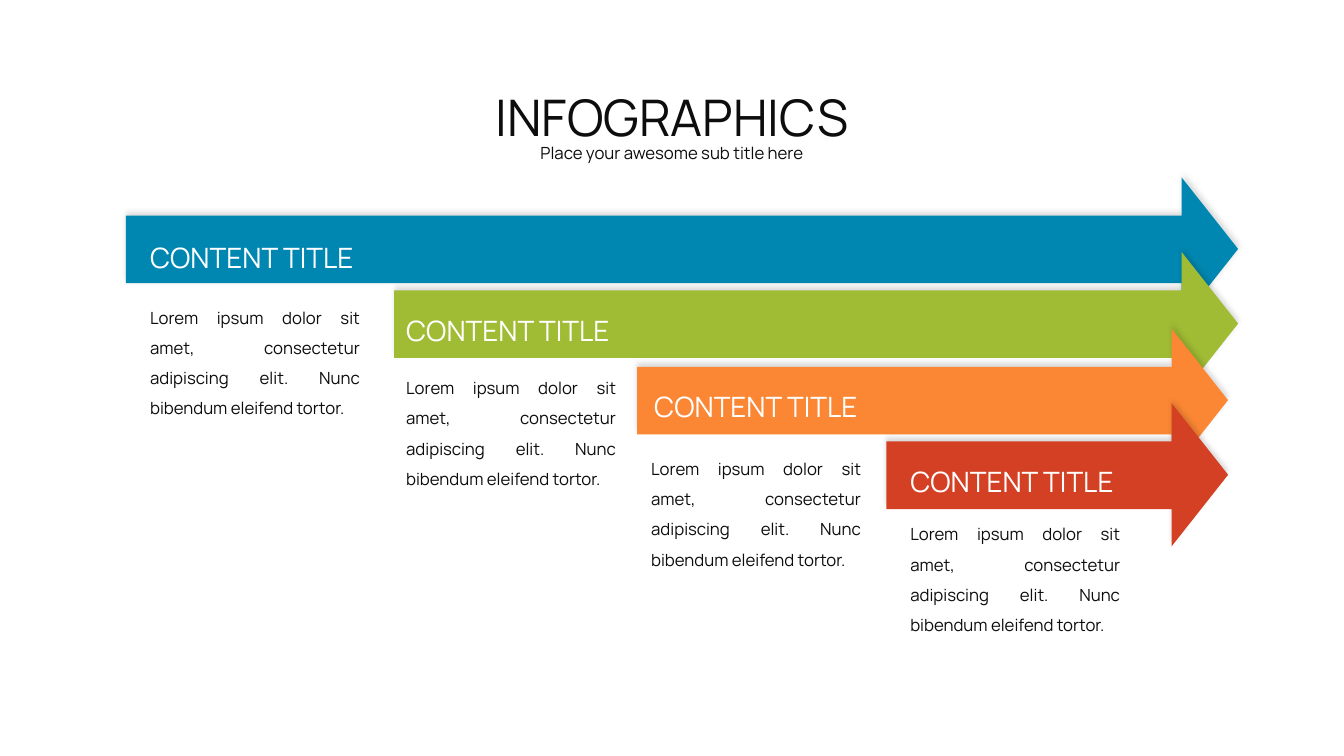
from dataclasses import dataclass

from lxml import etree
from pptx import Presentation
from pptx.dml.color import RGBColor
from pptx.enum.text import MSO_ANCHOR, MSO_AUTO_SIZE, PP_ALIGN
from pptx.oxml.ns import qn
from pptx.util import Inches, Pt

CENTER, JUSTIFY = PP_ALIGN.CENTER, PP_ALIGN.JUSTIFY
TOP = MSO_ANCHOR.TOP
NO_FIT = MSO_AUTO_SIZE.NONE


@dataclass(frozen=True)
class Theme:
    font: str = "Manrope"
    ink: str = "0D0D0D"
    light: str = "FFFFFF"
    shade: str = "000000"
    blue: str = "0087B1"
    green: str = "A0BC34"
    orange: str = "FB8734"
    red: str = "D44024"
    title: int = 36
    head: int = 20
    body: int = 12


THEME = Theme()
LOREM = ("Lorem ipsum dolor sit amet, consectetur adipiscing elit. "
         "Nunc bibendum eleifend tortor.")

# Arrow left, top, tip and colour; heading left and top; body left and top
STEPS = [
    (1.25, 1.76, 12.28, THEME.blue, (1.39, 2.17), (1.39, 2.9)),
    (3.91, 2.5, 12.28, THEME.green, (3.93, 2.89), (3.93, 3.6)),
    (6.32, 3.26, 12.18, THEME.orange, (6.39, 3.65), (6.36, 4.4)),
    (8.79, 4, 12.18, THEME.red, (8.93, 4.39), (8.93, 5.05)),
]
TIP, TALL = 0.56, 1.42
SHAFT_TOP, SHAFT_END = 0.38, 1.05


def put_text(shape, text, size, color, align):
    frame = shape.text_frame
    frame.word_wrap = True
    frame.auto_size = NO_FIT
    frame.vertical_anchor = TOP
    frame.text = text
    para = frame.paragraphs[0]
    para.alignment = align
    para.line_spacing = 1.5
    para.space_before = Pt(0)
    para.font.name = THEME.font
    para.font.size = Pt(size)
    para.font.color.rgb = RGBColor.from_string(color)


def place(shape, left, top, width, height):
    shape.left, shape.top = Inches(left), Inches(top)
    shape.width, shape.height = Inches(width), Inches(height)


def add_text(slide, spot, width, height, text, size, color):
    left, top = spot
    box = slide.shapes.add_textbox(
        Inches(left), Inches(top), Inches(width), Inches(height))
    put_text(box, text, size, color, JUSTIFY)


def add_shadow(shape):
    """Cast a soft shadow upwards."""
    shape.shadow.inherit = False
    effects = shape._element.spPr.find(qn("a:effectLst"))
    outer = etree.SubElement(
        effects, qn("a:outerShdw"), blurRad=str(Pt(4)), dist=str(Pt(3)),
        dir=str(270 * 60000), algn="b", rotWithShape="0")
    color = etree.SubElement(outer, qn("a:srgbClr"), val=THEME.shade)
    etree.SubElement(color, qn("a:alpha"), val="15000")


def add_arrow(slide, left, top, tip, color):
    neck = tip - TIP
    upper, lower = top + SHAFT_TOP, top + SHAFT_END
    points = [(neck, top), (tip, top + TALL / 2), (neck, top + TALL),
              (neck, lower), (left, lower), (left, upper), (neck, upper)]
    start, *rest = [(Inches(x), Inches(y)) for x, y in points]
    pen = slide.shapes.build_freeform(*start)
    pen.add_line_segments(rest, close=True)
    arrow = pen.convert_to_shape()
    arrow.fill.solid()
    arrow.fill.fore_color.rgb = RGBColor.from_string(color)
    arrow.line.fill.background()
    add_shadow(arrow)


def main():
    deck = Presentation()
    deck.slide_width, deck.slide_height = Inches(13.33), Inches(7.5)
    slide = deck.slides.add_slide(deck.slide_layouts[0])

    title, sub = slide.placeholders
    place(title, 0.62, 0.5, 12.09, 1.01)
    put_text(title, "INFOGRAPHICS", THEME.title, THEME.ink, CENTER)
    place(sub, 0.62, 1.27, 12.09, 0.31)
    put_text(sub, "Place your awesome sub title here",
             THEME.body, THEME.ink, CENTER)

    for left, top, tip, color, head, body in STEPS:
        add_arrow(slide, left, top, tip, color)
        add_text(slide, head, 3.41, 0.55, "CONTENT TITLE",
                 THEME.head, THEME.light)
        add_text(slide, body, 2.28, 1.31, LOREM, THEME.body, THEME.ink)

    deck.save("out.pptx")


if __name__ == "__main__":
    main()
